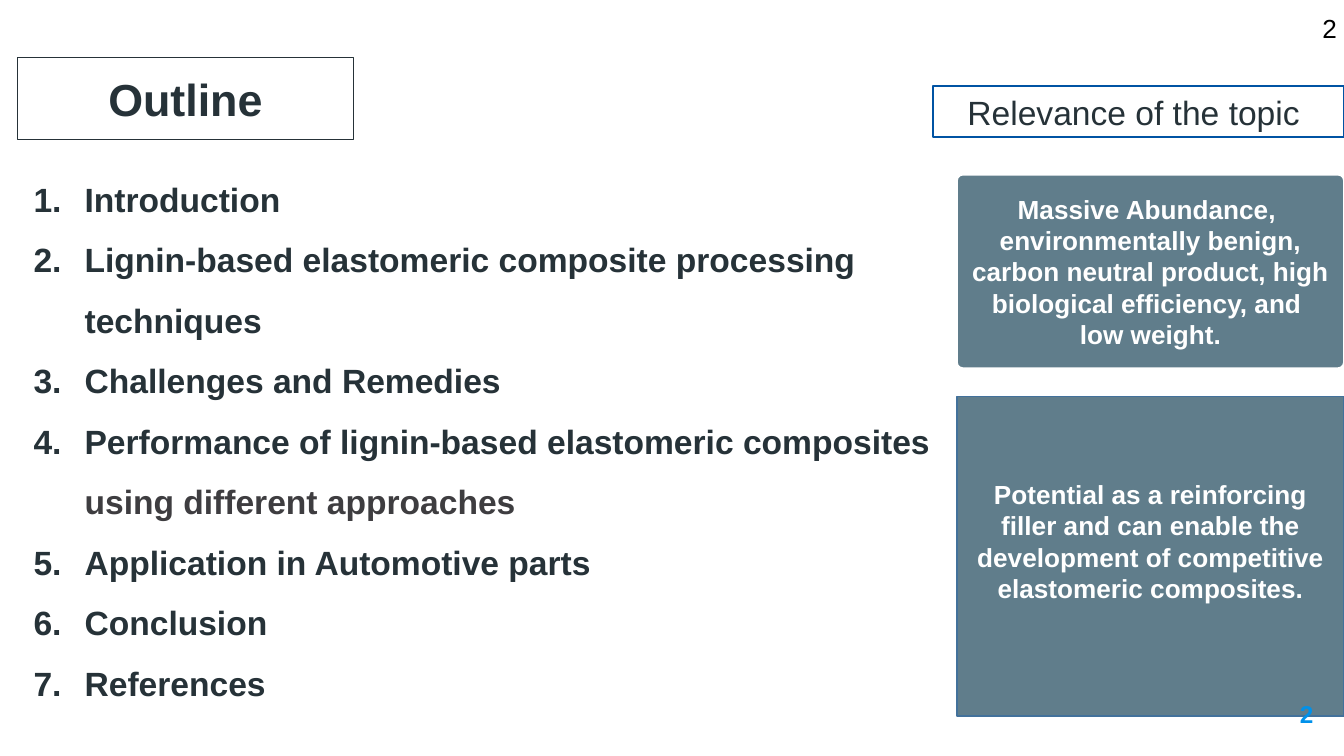
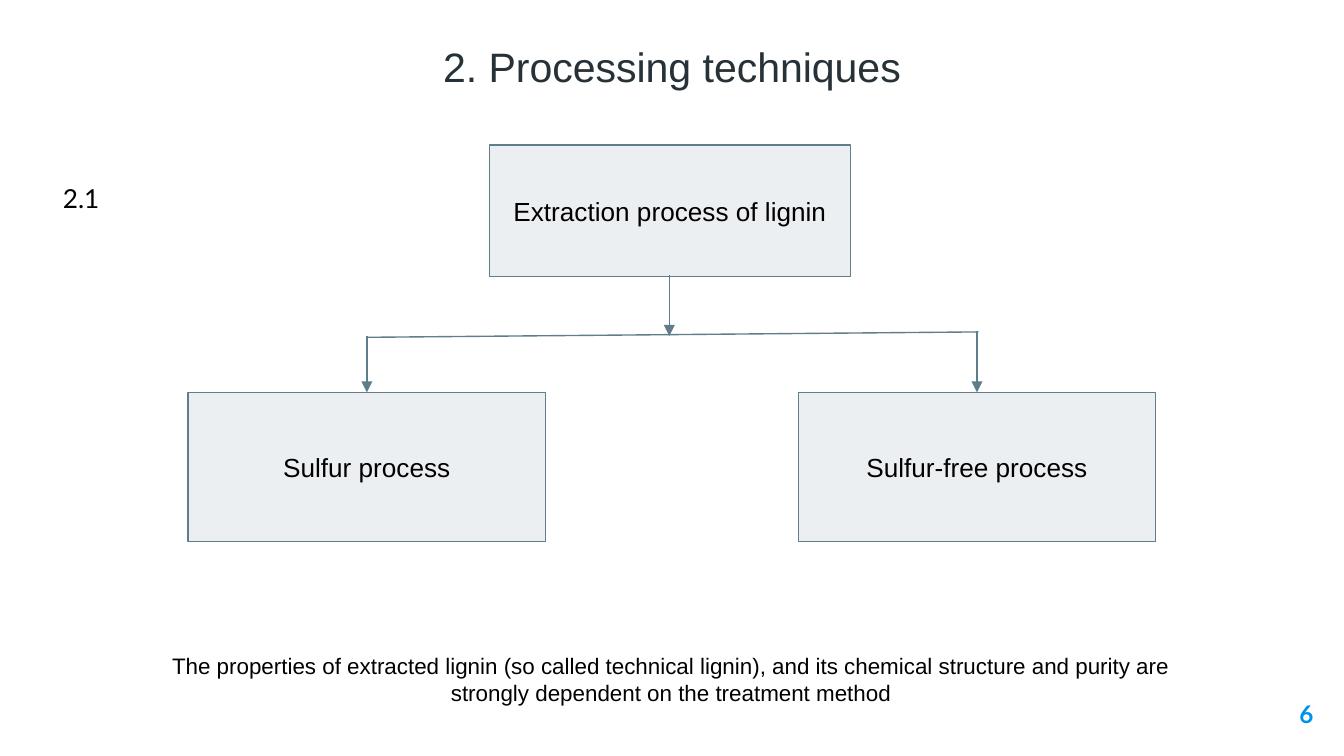
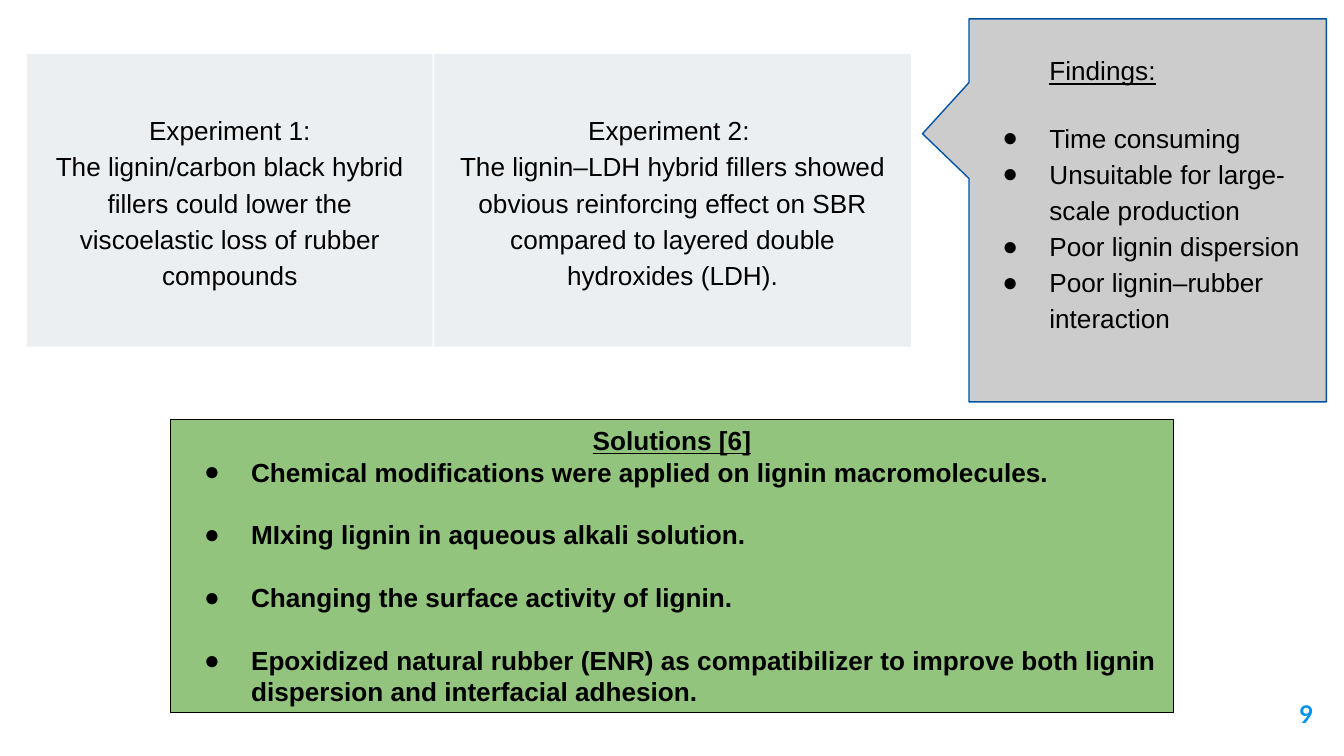
from dataclasses import dataclass
from typing import Optional

from lxml import etree
from pptx import Presentation
from pptx.dml.color import RGBColor
from pptx.enum import shapes, text
from pptx.oxml.ns import qn
from pptx.util import Inches, Pt

INK, BLACK, WHITE = "263238", "000000", "FFFFFF"
SLATE, PALE, BLUE, PAGE_BLUE = "607D8B", "ECEFF1", "0053A3", "0091EA"
GREY, GREEN, STEEL, CHARCOAL = "CCCCCC", "93C47D", "42719B", "3E3D40"

RECT = shapes.MSO_SHAPE.RECTANGLE
ROUND = shapes.MSO_SHAPE.ROUNDED_RECTANGLE
CALLOUT = shapes.MSO_SHAPE.RECTANGULAR_CALLOUT
LEFT, CENTER, RIGHT = text.PP_ALIGN.LEFT, text.PP_ALIGN.CENTER, text.PP_ALIGN.RIGHT
TOP, MIDDLE = text.MSO_ANCHOR.TOP, text.MSO_ANCHOR.MIDDLE

WIDE = (0.1, 0.1, 0.1, 0.1)
TIGHT = (0.07, 0.04, 0.07, 0.04)


@dataclass(frozen=True)
class Style:
    size: float = 14
    color: str = BLACK
    bold: bool = False
    align: text.PP_ALIGN = CENTER
    font: str = "Arial"
    spacing: object = None


@dataclass(frozen=True)
class Para:
    text: str
    style: Style
    tail: str = ""
    tail_color: str = BLACK
    underline: bool = False
    bullet: str = ""
    margin: float = 0
    indent: float = 0
    before: float = 0
    after: float = 0


@dataclass(frozen=True)
class Box:
    at: tuple[float, float, float, float]
    paras: list[Para]
    shape: Optional[shapes.MSO_SHAPE] = None
    fill: Optional[str] = None
    line: Optional[str] = None
    weight: float = 0.75
    anchor: text.MSO_ANCHOR = TOP
    insets: tuple[float, float, float, float] = WIDE
    adjust: tuple[float, ...] = ()


@dataclass(frozen=True)
class Line:
    start: tuple[float, float]
    end: tuple[float, float]
    arrow: bool = False


def rgb(value: str) -> RGBColor:
    return RGBColor.from_string(value)


def add_bullet(p, mark: str, color: str) -> None:
    pPr = p._p.get_or_add_pPr()
    clr = etree.SubElement(pPr, qn("a:buClr"))
    etree.SubElement(clr, qn("a:srgbClr"), val=color)
    etree.SubElement(pPr, qn("a:buFont"), typeface="Arial")
    if mark == "1.":
        etree.SubElement(pPr, qn("a:buAutoNum"), type="arabicPeriod")
    else:
        etree.SubElement(pPr, qn("a:buChar"), char=mark)


def write_para(p, para: Para) -> None:
    style = para.style
    p.text = para.text
    if para.tail:
        p.add_run().text = para.tail
    p.alignment = style.align
    p.space_before, p.space_after = Pt(para.before), Pt(para.after)
    if style.spacing:
        p.line_spacing = style.spacing
    for r, color in zip(p.runs, (style.color, para.tail_color)):
        r.font.size, r.font.name, r.font.bold = Pt(style.size), style.font, style.bold
        r.font.underline = para.underline
        r.font.color.rgb = rgb(color)
    if para.margin:
        pPr = p._p.get_or_add_pPr()
        pPr.set("marL", str(Inches(para.margin)))
        pPr.set("indent", str(Inches(para.indent)))
    if para.bullet:
        add_bullet(p, para.bullet, style.color)


def draw_box(s, box: Box) -> None:
    at = [Inches(v) for v in box.at]
    if box.shape is None:
        sp = s.shapes.add_textbox(*at)
    else:
        sp = s.shapes.add_shape(box.shape, *at)
        sp.shadow.inherit = False
        for i, value in enumerate(box.adjust):
            sp.adjustments[i] = value
        if box.fill:
            sp.fill.solid()
            sp.fill.fore_color.rgb = rgb(box.fill)
        else:
            sp.fill.background()
        if box.line:
            sp.line.color.rgb = rgb(box.line)
            sp.line.width = Pt(box.weight)
        else:
            sp.line.fill.background()
    tf = sp.text_frame
    tf.word_wrap = True
    tf.vertical_anchor = box.anchor
    tf.margin_left, tf.margin_top, tf.margin_right, tf.margin_bottom = map(Inches, box.insets)
    for i, para in enumerate(box.paras):
        write_para(tf.add_paragraph() if i else tf.paragraphs[0], para)


def draw_line(s, line: Line) -> None:
    cx = s.shapes.add_connector(
        shapes.MSO_CONNECTOR.STRAIGHT, *(Inches(v) for v in line.start + line.end))
    cx.line.color.rgb = rgb(SLATE)
    cx.line.width = Pt(0.75)
    if line.arrow:
        etree.SubElement(cx.line._get_or_add_ln(), qn("a:tailEnd"), type="triangle")
    etree.SubElement(cx._element.spPr, qn("a:effectLst"))


def add_slide(prs, page: int, boxes: list[Box], lines: tuple[Line, ...] = (),
              page_font: str = "Lato") -> None:
    s = prs.slides.add_slide(prs.slide_layouts[6])
    for box in boxes:
        draw_box(s, box)
    for line in lines:
        draw_line(s, line)
    number = Style(13, PAGE_BLUE, True, RIGHT, page_font)
    draw_box(s, Box((9.27, 5.1, 0.6, 0.43), [Para(str(page), number)]))


def outline_slide(prs) -> None:
    item = Style(18, INK, True, LEFT, spacing=Pt(32.4))
    card = Style(14, WHITE, True)
    topics = [
        ("Introduction", ""),
        ("Lignin-based elastomeric composite processing techniques", ""),
        ("Challenges and Remedies", ""),
        ("Performance of lignin-based elastomeric composites ", "using different approaches"),
        ("Application in Automotive parts", ""),
        ("Conclusion", ""),
        ("References", ""),
    ]
    reasons = [
        "Massive Abundance, ",
        " environmentally benign, ",
        "carbon neutral product, high biological efficiency, and ",
        "low weight.",
    ]
    potential = ("Potential as a reinforcing filler and can enable the development "
                 "of competitive elastomeric composites.")
    add_slide(prs, 2, [
        Box((0.05, 0.35, 7.2, 4.82),
            [Para(head, item, tail, CHARCOAL, bullet="1.", margin=0.5, indent=-0.38)
             for head, tail in topics], insets=(0.08, 0.83, 0.07, 0.04)),
        Box((6.94, 0.64, 3.06, 0.38), [Para("Relevance of the topic ", Style(18, INK))],
            RECT, WHITE, BLUE, 1, insets=TIGHT),
        Box((7.12, 1.3, 2.88, 1.44), [Para(reason, card) for reason in reasons],
            ROUND, SLATE, WHITE, 1, MIDDLE, TIGHT, (0.03,)),
        Box((7.12, 2.95, 2.88, 2.38), [Para(potential, card)],
            ROUND, SLATE, STEEL, 1, MIDDLE, (0.07, 0.04, 0.07, 0.27), (0,)),
        Box((0.13, 0.43, 2.5, 0.61), [Para("Outline", Style(24, INK, True))], RECT, line=INK),
        Box((9.74, -0.01, 0.26, 0.44), [Para("2", Style(align=LEFT))]),
    ], page_font="Arial")


def processing_slide(prs) -> None:
    steps = [
        ("Extraction process of lignin", (3.64, 1.08, 2.69, 0.98)),
        ("Sulfur process", (1.4, 2.92, 2.66, 1.11)),
        ("Sulfur-free process", (5.94, 2.92, 2.66, 1.11)),
    ]
    note = ("The properties of extracted lignin (so called technical lignin), and its chemical "
            "structure and purity are strongly dependent on the treatment method")
    boxes = [Box((0.34, 0.21, 9.32, 0.87),
                 [Para("2. Processing techniques", Style(22, INK), before=6)])]
    boxes += [Box(at, [Para(label, Style())], RECT, PALE, SLATE, anchor=MIDDLE)
              for label, at in steps]
    boxes += [
        Box((0.91, 4.75, 8.17, 0.61), [Para(note, Style(12))]),
        Box((0.37, 1.26, 0.54, 0.44), [Para("2.1", Style(align=LEFT, font="Lato"))]),
    ]
    add_slide(prs, 6, boxes, (
        Line((4.98, 2.05), (4.98, 2.5), True),
        Line((2.73, 2.51), (7.28, 2.47)),
        Line((2.73, 2.5), (2.73, 2.92), True),
        Line((7.27, 2.47), (7.27, 2.92), True),
    ))


def experiments_slide(prs) -> None:
    loose = Style(spacing=1.15)
    finding = Style(align=LEFT, spacing=1.15)
    solution = Style(bold=True, align=LEFT)
    experiments = [
        ((0.2, 0.4, 3.02, 2.18), "Experiment 1:",
         "The lignin/carbon black hybrid fillers could lower the viscoelastic loss "
         "of rubber compounds"),
        ((3.23, 0.4, 3.55, 2.18), "Experiment 2: ",
         "The lignin–LDH hybrid fillers showed obvious reinforcing effect on SBR "
         "compared to layered double hydroxides (LDH)."),
    ]
    solutions = [
        "Chemical modifications were applied on lignin macromolecules.",
        "MIxing lignin in aqueous alkali solution.",
        "Changing the surface activity of lignin.",
        "Epoxidized natural rubber (ENR) as compatibilizer to improve both lignin "
        "dispersion and interfacial adhesion.",
    ]
    findings = [
        "Time consuming",
        "Unsuitable for large-scale production",
        "Poor lignin dispersion",
        "Poor lignin–rubber interaction",
    ]
    boxes = [Box(at, [Para(head, loose), Para(result, loose)], RECT, PALE, anchor=MIDDLE)
             for at, head, result in experiments]
    boxes += [
        Box((1.27, 3.12, 7.46, 2.18),
            [Para("Solutions [6]", Style(bold=True), underline=True)]
            + [Para(entry, solution, bullet="●", margin=0.5, indent=-0.35,
                    before=16.8 if i else 0) for i, entry in enumerate(solutions)],
            RECT, GREEN, BLACK, anchor=MIDDLE),
        Box((7.21, 0.14, 2.66, 2.85),
            [Para("Findings:", Style(align=LEFT), underline=True, margin=0.5, after=16.8)]
            + [Para(entry, finding, bullet="●", margin=0.5, indent=-0.35)
               for entry in findings],
            CALLOUT, GREY, BLUE, anchor=MIDDLE, insets=(0.1, 0.1, 0.1, 0.34),
            adjust=(-0.63, -0.2)),
    ]
    add_slide(prs, 9, boxes)


def main() -> None:
    prs = Presentation()
    prs.slide_width = Inches(10)
    prs.slide_height = prs.slide_width * 9 // 16
    outline_slide(prs)
    processing_slide(prs)
    experiments_slide(prs)
    prs.save("out.pptx")


if __name__ == "__main__":
    main()
